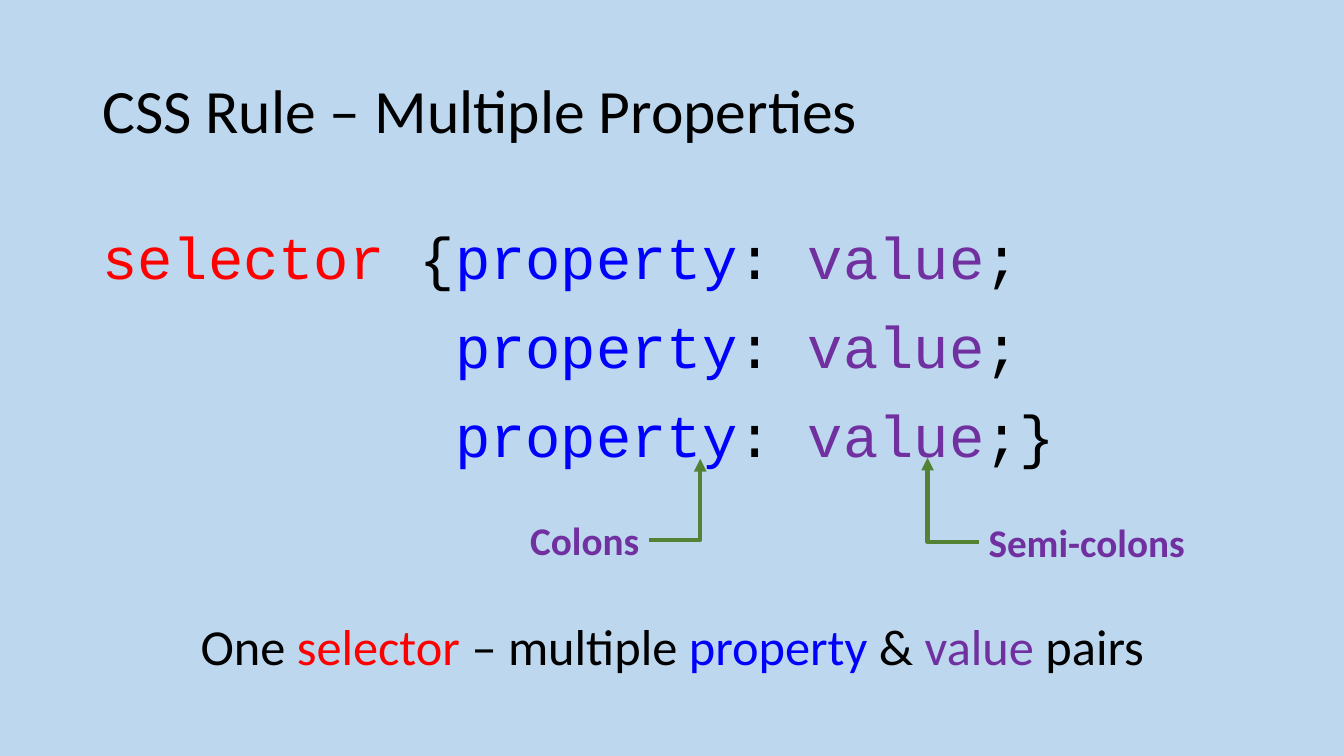
import pptx
import pptx.util
import pptx.dml.color
import pptx.enum.shapes
import pptx.enum.text

Pt = pptx.util.Pt
ALIGN = pptx.enum.text.PP_ALIGN
ANCHOR = pptx.enum.text.MSO_ANCHOR

COLORS = {"background": "BDD7EE", "text": "000000", "selector": "FF0000",
          "property": "0000FF", "value": "7030A0", "arrow": "548235"}

TITLE = [("CSS Rule – Multiple Properties", "text")]
DECLARATION = [("property", "property"), (": ", "text"), ("value", "value")]
RULE_LINES = [
    [("selector ", "selector"), ("{", "text"), *DECLARATION, (";", "text")],
    [*DECLARATION, (";", "text")],
    [*DECLARATION, (";}", "text")],
]
SUMMARY = [("One ", "text"), ("selector", "selector"), (" – multiple ", "text"),
           ("property", "property"), (" & ", "text"), ("value", "value"),
           (" pairs", "text")]
# label, box, alignment, mirrored, bend and tip of the pointer
POINTERS = [
    ("Colons", (271.5, 360, 192.2, 51.1), ALIGN.RIGHT, False,
     (0.5, 1, 0.5, 1.19, -0.63, 1.19)),
    ("Semi-colons", (699.1, 360.7, 192.2, 52.6), ALIGN.LEFT, True,
     (0.5, 1, 0.5, 1.19, -0.64, 1.19)),
]

CODE_SIZE = 42
CODE_INDENT = Pt(len("selector {") * 0.6 * CODE_SIZE)  # monospaced advance is 0.6 em
TITLE_FONT = {"name": "Calibri", "size": Pt(44)}
CODE_FONT = {"name": "Courier New", "size": Pt(CODE_SIZE)}
SUMMARY_FONT = {"name": "Calibri", "size": Pt(36)}
LABEL_FONT = {"name": "Calibri", "size": Pt(28), "bold": True}


def rgb(color):
    return pptx.dml.color.RGBColor.from_string(COLORS[color])


def apply(target, settings):
    for attribute, setting in settings.items():
        setattr(target, attribute, setting)


def write(paragraph, pieces, font, **layout):
    """Fill a paragraph with (text, color name) pieces."""
    apply(paragraph, layout)
    for text, color in pieces:
        run = paragraph.add_run()
        run.text = text
        apply(run.font, font)
        run.font.color.rgb = rgb(color)


def add_text(slide, box, lines, font, frame_settings, **layout):
    frame = slide.shapes.add_textbox(*map(Pt, box)).text_frame
    apply(frame, frame_settings)
    for index, pieces in enumerate(lines):
        paragraph = frame.add_paragraph() if index else frame.paragraphs[0]
        write(paragraph, pieces, font, **layout)
    return frame


def add_pointer(slide, label, box, alignment, mirrored, bends):
    kind = pptx.enum.shapes.MSO_SHAPE.LINE_CALLOUT_2_NO_BORDER
    callout = slide.shapes.add_shape(kind, *map(Pt, box))
    for index, bend in enumerate(bends):
        callout.adjustments[index] = bend
    callout.shadow.inherit = False
    callout.fill.background()
    callout.line.color.rgb = rgb("arrow")
    callout.line.width = Pt(3)
    line = callout.line._get_or_add_ln()
    line.append(line.makeelement(pptx.oxml.ns.qn("a:tailEnd"), {"type": "triangle"}))
    if mirrored:
        callout._element.spPr.xfrm.set("flipH", "1")
    apply(callout.text_frame, {"vertical_anchor": ANCHOR.MIDDLE, "word_wrap": True})
    write(callout.text_frame.paragraphs[0], [(label, "value")], LABEL_FONT,
          alignment=alignment)


def main():
    deck = pptx.Presentation()
    apply(deck, {"slide_width": Pt(960), "slide_height": Pt(540)})
    slide = deck.slides.add_slide(deck.slide_layouts[6])
    slide.background.fill.solid()
    slide.background.fill.fore_color.rgb = rgb("background")

    add_text(slide, (66, 28.75, 828, 104.4), [TITLE], TITLE_FONT,
             {"word_wrap": True, "vertical_anchor": ANCHOR.MIDDLE}, line_spacing=0.9)
    rule = add_text(slide, (66, 143.75, 828, 342.6), RULE_LINES, CODE_FONT,
                    {"word_wrap": True}, line_spacing=1.2, space_before=Pt(3.3))
    for paragraph in rule.paragraphs[1:]:
        paragraph._p.get_or_add_pPr().set("marL", str(CODE_INDENT))
    add_text(slide, (133.2, 435.6, 694, 50.9), [SUMMARY], SUMMARY_FONT,
             {"word_wrap": False,
              "auto_size": pptx.enum.text.MSO_AUTO_SIZE.SHAPE_TO_FIT_TEXT},
             alignment=ALIGN.CENTER)
    for pointer in POINTERS:
        add_pointer(slide, *pointer)

    deck.save("out.pptx")


if __name__ == "__main__":
    main()
